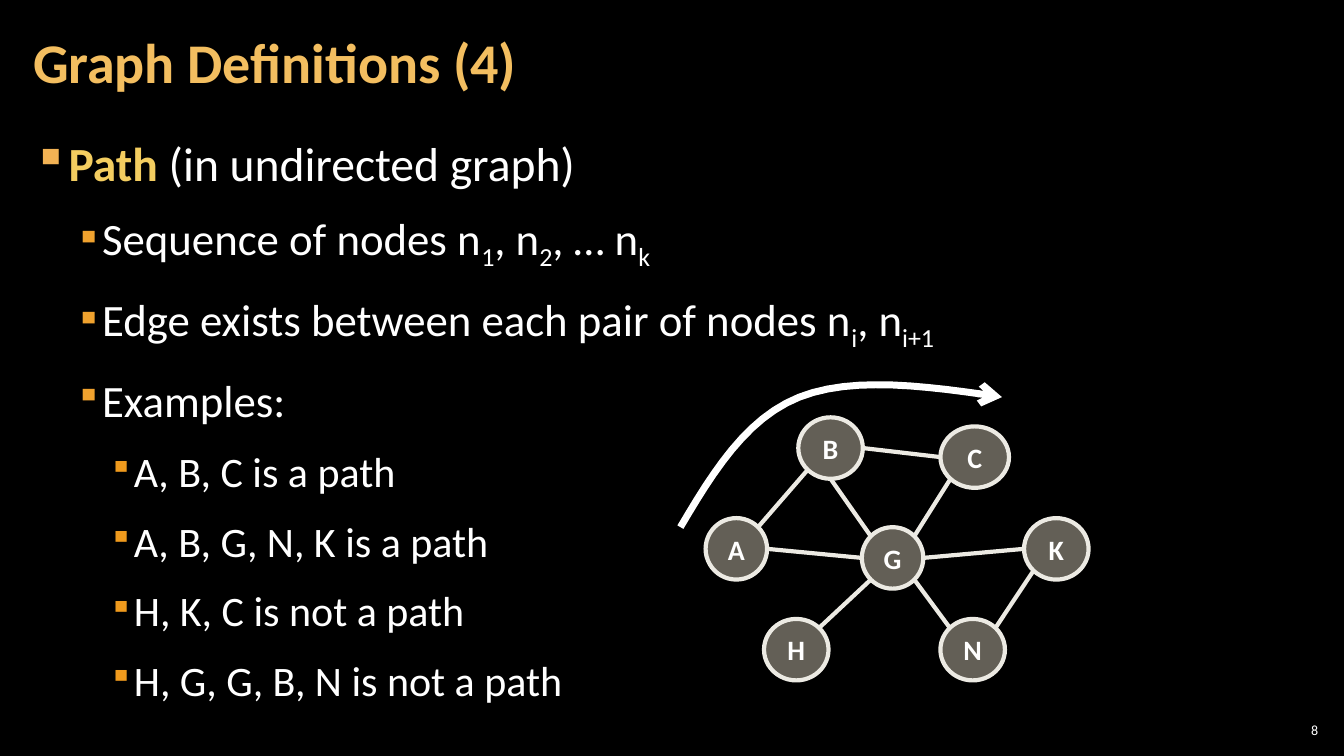
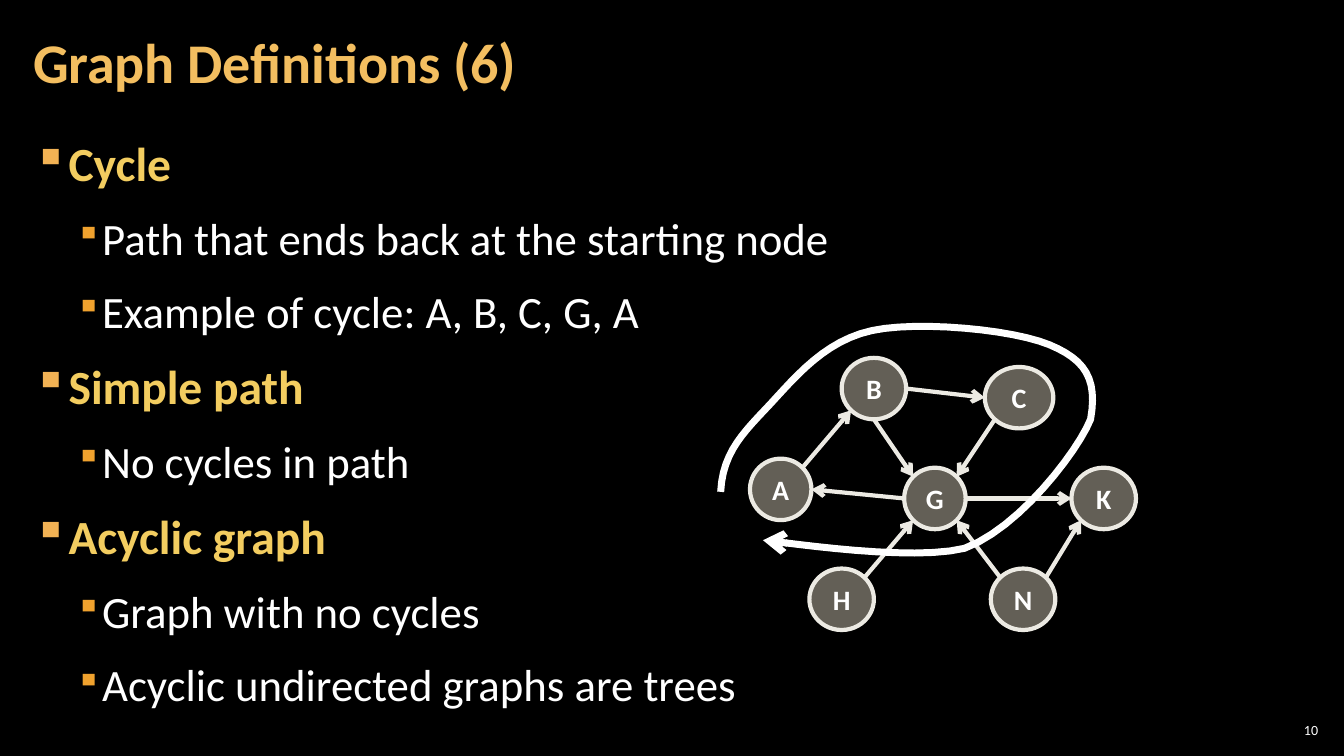
import math

from lxml import etree
from pptx import Presentation
from pptx import util as u
from pptx.dml.color import RGBColor
from pptx.enum import shapes, text
from pptx.oxml.ns import qn

COLS, ROWS = 80, 45
CELL = u.Inches(7.5) / ROWS
MARGIN = 1.25
FONT = "Calibri"

BLACK = RGBColor(0x00, 0x00, 0x00)
WHITE = RGBColor(0xFF, 0xFF, 0xFF)
TITLE = RGBColor(0xF3, 0xBE, 0x60)
TERM = RGBColor(0xF3, 0xCD, 0x60)
NODE = RGBColor(0xC7, 0xBF, 0xAC)
EDGE = RGBColor(0xEC, 0xEA, 0xE3)

LEVELS = [
    dict(size=34, left=0.33, hang=0.33, bullet="F2B254", percent=100),
    dict(size=32, left=0.67, hang=0.25, bullet="F0A22E", percent=80),
    dict(size=30, left=1, hang=0.25, bullet="EF9A1D", percent=80),
]

NODE_HEIGHT = 3.66
NODE_WIDTHS = dict(A=3.66, B=3.84, C=4.08, G=3.66, H=3.84, K=3.84, N=3.84)
ANGLES = dict(E=0, SE=45, S=90, SW=135, W=180, NW=225, N=270, NE=315)
EDGES = [
    ("A", "NE", "B", "SW"),
    ("B", "E", "C", "W"),
    ("C", "SW", "G", "NE"),
    ("B", "S", "G", "NW"),
    ("G", "W", "A", "E"),
    ("H", "NE", "G", "SW"),
    ("N", "NW", "G", "SE"),
    ("G", "E", "K", "W"),
    ("N", "NE", "K", "SW"),
]

PATH_BULLETS = [
    (0, "Path| (in undirected graph)"),
    (1, "Sequence of nodes n|1|, n|2|, … n|k"),
    (1, "Edge exists between each pair of nodes n|i|, n|i+1"),
    (1, "Examples:"),
    (2, "A, B, C is a path"),
    (2, "A, B, G, N, K is a path"),
    (2, "H, K, C is not a path"),
    (2, "H, G, G, B, N is not a path"),
]
PATH_NODES = dict(
    A=(43.83, 32.67), B=(49.44, 26.67), C=(58.02, 27.21), G=(53.13, 33.21),
    H=(47.4, 38.67), K=(62.88, 32.67), N=(57.9, 38.67),
)
PATH_CURVE = [
    (40.5, 31.38),
    (42.42, 28.14), (44.4, 24.9), (47.58, 23.64),
    (50.76, 22.38), (55.2, 22.98), (59.64, 23.64),
]

CYCLE_BULLETS = [
    (0, "Cycle"),
    (1, "Path that ends back at the starting node"),
    (1, "Example of cycle: A, B, C, G, A"),
    (0, "Simple path"),
    (1, "No cycles in path"),
    (0, "Acyclic graph"),
    (1, "Graph with no cycles"),
    (1, "Acyclic undirected graphs are trees"),
]
CYCLE_NODES = dict(
    A=(46.47, 29.13), B=(52.02, 23.13), C=(60.66, 23.67), G=(55.65, 29.67),
    H=(50.1, 35.67), K=(65.7, 29.67), N=(60.9, 35.67),
)
CYCLE_CURVE = [
    (42.9, 29.28),
    (43.02, 26.82), (44.4, 25.62), (45.9, 24),
    (47.4, 22.38), (49.14, 20.28), (51.9, 19.68),
    (54.66, 19.08), (60.3, 19.62), (62.46, 20.52),
    (64.62, 21.42), (65.34, 22.56), (64.92, 24.96),
    (64.14, 26.88), (60.66, 31.44), (57.42, 32.64),
    (54.24, 33.42), (47.22, 32.34), (45.42, 32.16),
]


def cells(*values):
    return [u.Emu(round(v * CELL)) for v in values]


def style(font, size, color, bold=False):
    font.name, font.size, font.bold = FONT, u.Pt(size), bold
    font.color.rgb = color


def set_insets(tf, x, y):
    tf.margin_left = tf.margin_right = u.Inches(x)
    tf.margin_top = tf.margin_bottom = u.Inches(y)


def add_box(s, left, top, width, height, inset=0.12, anchor=text.MSO_ANCHOR.MIDDLE):
    tf = s.shapes.add_textbox(*cells(left, top, width, height)).text_frame
    tf.word_wrap = True
    tf.vertical_anchor = anchor
    set_insets(tf, inset, 0.04)
    return tf


def add_title(s, title):
    p = add_box(s, MARGIN, 0.25, 62.8, 7.25).paragraphs[0]
    p.text = title
    p.line_spacing = 0.9
    style(p.runs[0].font, 40, TITLE, True)


def add_number(s, number):
    p = add_box(s, 75.9, 42.85, 2.8, 1.25, 0.04).paragraphs[0]
    p.text = str(number)
    p.alignment = text.PP_ALIGN.RIGHT
    style(p.runs[0].font, 10, WHITE)


def set_bullet(p, level):
    pPr = p._p.get_or_add_pPr()
    pPr.set("marL", str(u.Inches(level["left"])))
    pPr.set("indent", str(-u.Inches(level["hang"])))
    color = etree.SubElement(pPr, qn("a:buClr"))
    etree.SubElement(color, qn("a:srgbClr"), val=level["bullet"])
    etree.SubElement(pPr, qn("a:buSzPct"), val=str(level["percent"] * 1000))
    etree.SubElement(pPr, qn("a:buChar"), char="▪")


def add_bullets(s, bullets):
    tf = add_box(s, MARGIN, 7.55, COLS - 2 * MARGIN, 36.55, anchor=text.MSO_ANCHOR.TOP)
    for i, (depth, line) in enumerate(bullets):
        p = tf.add_paragraph() if i else tf.paragraphs[0]
        level = LEVELS[depth]
        p.level = depth
        p.line_spacing = 1.05
        p.space_before = u.Pt(6 if i else 0)
        p.space_after = u.Pt(6)
        set_bullet(p, level)
        for j, part in enumerate(line.split("|")):
            r = p.add_run()
            r.text = part
            term = depth == 0 and j == 0
            style(r.font, level["size"], TERM if term else WHITE, term)
            if depth and j % 2:
                r._r.get_or_add_rPr().set("baseline", "-25000")


def set_line(line, color, width, arrow=False):
    line.color.rgb = color
    line.width = u.Pt(width)
    if arrow:
        etree.SubElement(line._get_or_add_ln(), qn("a:tailEnd"), type="arrow")


def rim_point(nodes, name, side):
    x, y = nodes[name]
    angle = math.radians(ANGLES[side])
    return cells(x + NODE_WIDTHS[name] / 2 * math.cos(angle),
                 y + NODE_HEIGHT / 2 * math.sin(angle))


def add_node(group, name, x, y):
    width = NODE_WIDTHS[name]
    box = cells(x - width / 2, y - NODE_HEIGHT / 2, width, NODE_HEIGHT)
    sp = group.shapes.add_shape(shapes.MSO_SHAPE.OVAL, *box)
    sp.shadow.inherit = False
    sp.fill.solid()
    sp.fill.fore_color.rgb = NODE
    color = sp._element.spPr.find(qn("a:solidFill")).find(qn("a:srgbClr"))
    etree.SubElement(color, qn("a:alpha"), val="50000")
    set_line(sp.line, EDGE, 3)
    tf = sp.text_frame
    set_insets(tf, 0.04, 0.05)
    tf.vertical_anchor = text.MSO_ANCHOR.MIDDLE
    tf.text = name
    p = tf.paragraphs[0]
    p.alignment = text.PP_ALIGN.CENTER
    style(p.runs[0].font, 20, WHITE, True)


def add_edge(group, start, end, directed):
    line = group.shapes.add_connector(shapes.MSO_CONNECTOR.STRAIGHT, *start, *end)
    set_line(line.line, EDGE, 3, directed)
    etree.SubElement(line._element.spPr, qn("a:effectLst"))


def add_graph(s, nodes, directed):
    group = s.shapes.add_group_shape()
    for name, (x, y) in nodes.items():
        add_node(group, name, x, y)
    for a, a_side, b, b_side in EDGES:
        add_edge(group, rim_point(nodes, a, a_side), rim_point(nodes, b, b_side), directed)


def bezier(points, t):
    weights = ((1 - t) ** 3, 3 * t * (1 - t) ** 2, 3 * t * t * (1 - t), t ** 3)
    return tuple(sum(w * pt[axis] for w, pt in zip(weights, points)) for axis in (0, 1))


def add_curve(s, points, steps=12):
    trace = [bezier(points[i:i + 4], n / steps)
             for i in range(0, len(points) - 1, 3) for n in range(1, steps + 1)]
    builder = s.shapes.build_freeform(*cells(*points[0]))
    builder.add_line_segments([cells(*pt) for pt in trace], close=False)
    sp = builder.convert_to_shape()
    sp.shadow.inherit = False
    sp.fill.background()
    set_line(sp.line, WHITE, 5, True)


def add_slide(prs, number, title, bullets, nodes, curve, directed):
    s = prs.slides.add_slide(prs.slide_layouts[6])
    add_number(s, number)
    add_bullets(s, bullets)
    add_title(s, title)
    add_graph(s, nodes, directed)
    add_curve(s, curve)


def main():
    prs = Presentation()
    prs.slide_width, prs.slide_height = cells(COLS, ROWS)
    fill = prs.slide_master.background.fill
    fill.solid()
    fill.fore_color.rgb = BLACK
    add_slide(prs, 8, "Graph Definitions (4)", PATH_BULLETS, PATH_NODES, PATH_CURVE, False)
    add_slide(prs, 10, "Graph Definitions (6)", CYCLE_BULLETS, CYCLE_NODES, CYCLE_CURVE, True)
    prs.save("out.pptx")


if __name__ == "__main__":
    main()
